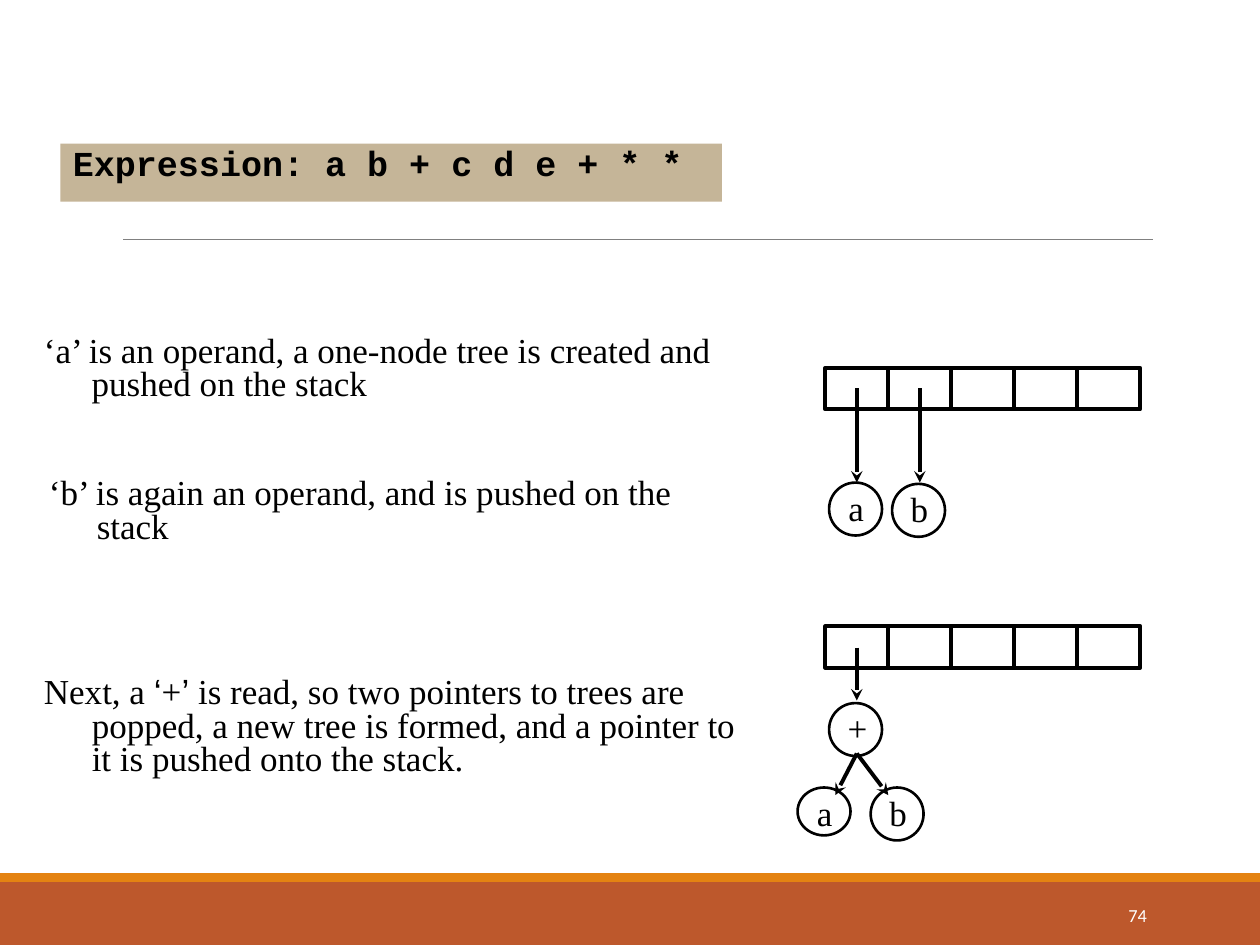
import pptx
import pptx.dml.color
import pptx.enum.shapes
import pptx.enum.text
import pptx.oxml
import pptx.oxml.ns
import pptx.util

RGBColor = pptx.dml.color.RGBColor
Inches = pptx.util.Inches
Pt = pptx.util.Pt
MSO_SHAPE = pptx.enum.shapes.MSO_SHAPE
PP_ALIGN = pptx.enum.text.PP_ALIGN
MSO_ANCHOR = pptx.enum.text.MSO_ANCHOR
MSO_AUTO_SIZE = pptx.enum.text.MSO_AUTO_SIZE

BLACK = RGBColor(0, 0, 0)
WHITE = RGBColor(255, 255, 255)
GRAY = RGBColor(0x80, 0x80, 0x80)
RUST = RGBColor(0xBD, 0x58, 0x2C)
ORANGE = RGBColor(0xE4, 0x83, 0x12)
TAN = RGBColor(0xC5, 0xB5, 0x98)
SERIF, SANS, MONO = "Times New Roman", "Arial", "Courier New"

WIDTH, HEIGHT = 10, 7.5
FOOTER_TOP, STRIPE = 7, 0.07
CELL_WIDTH, CELL_HEIGHT, CELL_COUNT = 0.5, 0.33, 5
STACK_LEFT = 6.55
NODE = 0.42

EXPRESSION = "Expression: a b + c d e + * *"
# left, top, width, runs as (text, font)
STEPS = [
    (0.25, 2.62, 5.63, [
        ("‘a’ is an operand, a one-node tree is created and pushed on the stack", SERIF)]),
    (0.29, 3.75, 5.63, [
        ("‘b’ is again an operand, and is pushed on the stack", SERIF)]),
    (0.25, 5.33, 5.72, [
        ("Next, a ", SERIF), ("‘", SANS), ("+", SERIF), ("’", SANS),
        (" is read, so two pointers to trees are popped, a new tree is formed, "
         "and a pointer to it is pushed onto the stack.", SERIF)]),
]
# stack top, nodes as (label, left, top, height), arrows as (start, end)
DIAGRAMS = [
    (2.92,
     [("a", 6.58, 3.83, NODE), ("b", 7.08, 3.84, NODE)],
     [((6.8, 3.08), (6.8, 3.83)), ((7.3, 3.08), (7.3, 3.83))]),
    (4.97,
     [("+", 6.58, 5.58, NODE), ("a", 6.33, 6.25, 0.38), ("b", 6.91, 6.25, NODE)],
     [((6.8, 5.14), (6.8, 5.56)),
      ((6.8, 5.98), (6.63, 6.31)), ((6.8, 5.98), (7.05, 6.31))]),
]


def add_shape(shapes, kind, box, fill=None, line_width=None):
    shape = shapes.add_shape(kind, *map(Inches, box))
    shape.shadow.inherit = False
    if fill is None:
        shape.fill.background()
    else:
        shape.fill.solid()
        shape.fill.fore_color.rgb = fill
    if line_width is None:
        shape.line.fill.background()
    else:
        shape.line.color.rgb = BLACK
        shape.line.width = Pt(line_width)
    return shape


def add_line(shapes, start, end, color, width, arrow=False):
    line = shapes.add_connector(pptx.enum.shapes.MSO_CONNECTOR.STRAIGHT,
                                *map(Inches, (*start, *end)))
    line.line.color.rgb = color
    line.line.width = Pt(width)
    if arrow:
        pptx.oxml.ns.qn("a:tailEnd")
        tail = line.line._get_or_add_ln().makeelement(
            pptx.oxml.ns.qn("a:tailEnd"), {"type": "stealth"})
        line.line._get_or_add_ln().append(tail)
    properties = line._element.spPr
    properties.append(properties.makeelement(pptx.oxml.ns.qn("a:effectLst"), {}))


def write(shape, runs, size=20, color=BLACK, bold=False, align=PP_ALIGN.LEFT,
          anchor=MSO_ANCHOR.TOP, hanging=0, spacing=None, wrap=True):
    frame = shape.text_frame
    frame.word_wrap = wrap
    frame.vertical_anchor = anchor
    paragraph = frame.paragraphs[0]
    paragraph.alignment = align
    paragraph.line_spacing = spacing
    if hanging:
        properties = paragraph._p.get_or_add_pPr()
        properties.set("marL", str(Inches(hanging)))
        properties.set("indent", str(-Inches(hanging)))
    for text, font_name in runs:
        run = paragraph.add_run()
        run.text = text
        run.font.name = font_name
        run.font.size = Pt(size)
        run.font.bold = bold
        run.font.color.rgb = color


def add_text(shapes, box, runs, **style):
    text_box = shapes.add_textbox(*map(Inches, box))
    write(text_box, runs, **style)
    return text_box


def add_node(shapes, label, left, top, height):
    add_shape(shapes, MSO_SHAPE.OVAL, (left, top, NODE, height), line_width=1.5)
    text_box = add_text(shapes, (left + 0.05, top - 0.02, 0.33, 0.4),
                        [(label, SERIF)], align=PP_ALIGN.CENTER, wrap=False)
    text_box.text_frame.auto_size = MSO_AUTO_SIZE.SHAPE_TO_FIT_TEXT


def add_diagram(shapes, stack_top, nodes, arrows):
    for column in range(CELL_COUNT):
        add_shape(shapes, MSO_SHAPE.RECTANGLE,
                  (STACK_LEFT + column * CELL_WIDTH, stack_top, CELL_WIDTH, CELL_HEIGHT),
                  line_width=2.25)
    for start, end in arrows:
        add_line(shapes, start, end, BLACK, 2.25, arrow=True)
    for node in nodes:
        add_node(shapes, *node)


def main():
    presentation = pptx.Presentation()
    presentation.slide_width = Inches(WIDTH)
    presentation.slide_height = Inches(HEIGHT)
    slide = presentation.slides.add_slide(presentation.slide_layouts[6])
    shapes = slide.shapes

    add_shape(shapes, MSO_SHAPE.RECTANGLE,
              (0, FOOTER_TOP, WIDTH, HEIGHT - FOOTER_TOP), RUST)
    add_shape(shapes, MSO_SHAPE.RECTANGLE,
              (0, FOOTER_TOP - STRIPE, WIDTH, STRIPE), ORANGE)
    add_line(shapes, (0.98, 1.9), (9.15, 1.9), GRAY, 0.5)
    add_text(shapes, (8.12, 7.06, 1.08, 0.4), [("74", "Calibri")], size=10.5,
             color=WHITE, align=PP_ALIGN.RIGHT, anchor=MSO_ANCHOR.MIDDLE)

    banner = add_shape(shapes, MSO_SHAPE.RECTANGLE, (0.48, 1.14, 5.25, 0.46), TAN)
    write(banner, [(EXPRESSION, MONO)], bold=True, hanging=0.3, spacing=0.8)
    for left, top, width, runs in STEPS:
        add_text(shapes, (left, top, width, 0.46), runs, hanging=0.38, spacing=0.8)
    for diagram in DIAGRAMS:
        add_diagram(shapes, *diagram)

    presentation.save("out.pptx")


if __name__ == "__main__":
    main()
